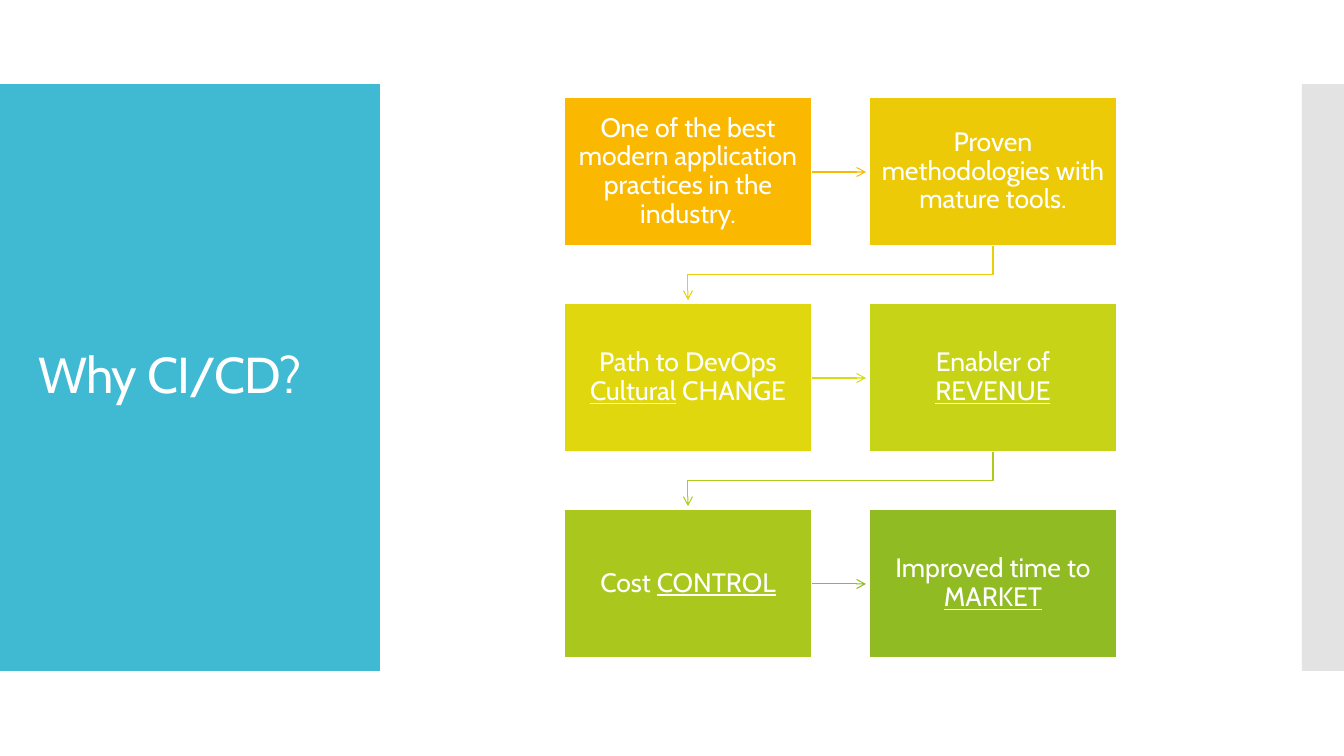
"""Build the "Why CI/CD?" slide with a snaking flow of six reasons."""
from lxml.etree import SubElement
from pptx import Presentation
from pptx.dml.color import RGBColor
from pptx.enum.shapes import MSO_CONNECTOR, MSO_SHAPE
from pptx.enum.text import MSO_ANCHOR, MSO_AUTO_SIZE, PP_ALIGN
from pptx.oxml.ns import qn
from pptx.util import Emu, Pt

SCALE = 914400 / 100.8
FONT = "Cabin"
WHITE = RGBColor(0xFF, 0xFF, 0xFF)
TEAL = RGBColor(0x40, 0xBA, 0xD2)
GREY = RGBColor(0xC8, 0xC8, 0xC8)
AMBER = RGBColor(0xFA, 0xB9, 0x00)
GOLD = RGBColor(0xED, 0xCA, 0x08)
DARK_YELLOW = RGBColor(0xE9, 0xCE, 0x0A)
YELLOW = RGBColor(0xE0, 0xD7, 0x0F)
LEMON = RGBColor(0xD7, 0xD9, 0x13)
LIME = RGBColor(0xC7, 0xD3, 0x16)
LEAF = RGBColor(0xB0, 0xCA, 0x1B)
GRASS = RGBColor(0xA9, 0xC7, 0x1D)
GREEN = RGBColor(0x90, 0xBB, 0x23)

BOX_LEFT, BOX_TOP = 564, 97
BOX_WIDTH, BOX_HEIGHT = 248, 149
COLUMN_STEP, ROW_STEP = 305, 206

REASONS = [
    (AMBER, [("One of the best modern application practices in the industry.", False)]),
    (GOLD, [("Proven methodologies with mature tools.", False)]),
    (YELLOW, [("Path to DevOps", False), (" Cultural", True), (" CHANGE", False)]),
    (LIME, [("Enabler of ", False), ("REVENUE", True)]),
    (GRASS, [("Cost ", False), ("CONTROL", True)]),
    (GREEN, [("Improved time to ", False), ("MARKET", True)]),
]
ACROSS_COLORS = [AMBER, LEMON, GREEN]
DOWN_COLORS = [DARK_YELLOW, LEAF]


def px(pixels):
    return Emu(round(pixels * SCALE))


def style_arrow(arrow, color):
    arrow.line.color.rgb = color
    arrow.line.width = Pt(0.75)
    SubElement(arrow.line._get_or_add_ln(), qn("a:tailEnd"), type="arrow")


presentation = Presentation()
presentation.slide_width, presentation.slide_height = px(1344), px(756)
slide = presentation.slides.add_slide(presentation.slide_layouts[5])
shapes = slide.shapes

for left, width, color in [(0, 380, TEAL), (1302, 42, GREY)]:
    panel = shapes.add_shape(MSO_SHAPE.RECTANGLE, px(left), px(84), px(width), px(587))
    panel.shadow.inherit = False
    panel.fill.solid()
    panel.fill.fore_color.rgb = color
    panel.line.fill.background()
grey_color = panel._element.spPr.find(qn("a:solidFill")).find(qn("a:srgbClr"))
SubElement(grey_color, qn("a:alpha"), val="50000")

title = shapes.title
shapes._spTree.append(title._element)
title.left, title.top, title.width, title.height = px(28), px(124), px(325), px(507)
title.text_frame.auto_size = MSO_AUTO_SIZE.NONE
title.text_frame.vertical_anchor = MSO_ANCHOR.MIDDLE
paragraph = title.text_frame.paragraphs[0]
paragraph.alignment = PP_ALIGN.LEFT
paragraph.line_spacing = 0.9
run = paragraph.add_run()
run.text = "Why CI/CD?"
run.font.name, run.font.size = FONT, Pt(36)
run.font.color.rgb = WHITE
run._r.get_or_add_rPr().set("spc", "-60")

for index, (color, runs) in enumerate(REASONS):
    row, column = divmod(index, 2)
    box = shapes.add_shape(
        MSO_SHAPE.RECTANGLE,
        px(BOX_LEFT + column * COLUMN_STEP), px(BOX_TOP + row * ROW_STEP),
        px(BOX_WIDTH), px(BOX_HEIGHT))
    box.shadow.inherit = False
    box.fill.solid()
    box.fill.fore_color.rgb = color
    box.line.color.rgb = WHITE
    box.line.width = Pt(0.85)
    frame = box.text_frame
    frame.word_wrap = True
    frame.vertical_anchor = MSO_ANCHOR.MIDDLE
    frame.margin_left = frame.margin_right = px(12)
    frame.margin_top = frame.margin_bottom = px(13)
    paragraph = frame.paragraphs[0]
    paragraph.alignment = PP_ALIGN.CENTER
    paragraph.line_spacing = 0.9
    for text, underlined in runs:
        run = paragraph.add_run()
        run.text = text
        run.font.name, run.font.size = FONT, Pt(19)
        run.font.color.rgb = WHITE
        run.font.underline = underlined

for row, color in enumerate(ACROSS_COLORS):
    middle = px(172 + row * ROW_STEP)
    across = shapes.add_connector(MSO_CONNECTOR.STRAIGHT, px(812), middle, px(866), middle)
    style_arrow(across, color)
    SubElement(across._element.spPr, qn("a:effectLst"))

for row, color in enumerate(DOWN_COLORS):
    top = BOX_TOP + BOX_HEIGHT + row * ROW_STEP
    start = BOX_LEFT + COLUMN_STEP + BOX_WIDTH // 2
    end = BOX_LEFT + BOX_WIDTH // 2
    builder = shapes.build_freeform(start, top, scale=SCALE)
    builder.add_line_segments([(start, top + 29), (end, top + 29), (end, top + 54)], close=False)
    down = builder.convert_to_shape()
    down.shadow.inherit = False
    down.fill.background()
    style_arrow(down, color)

presentation.save("out.pptx")
